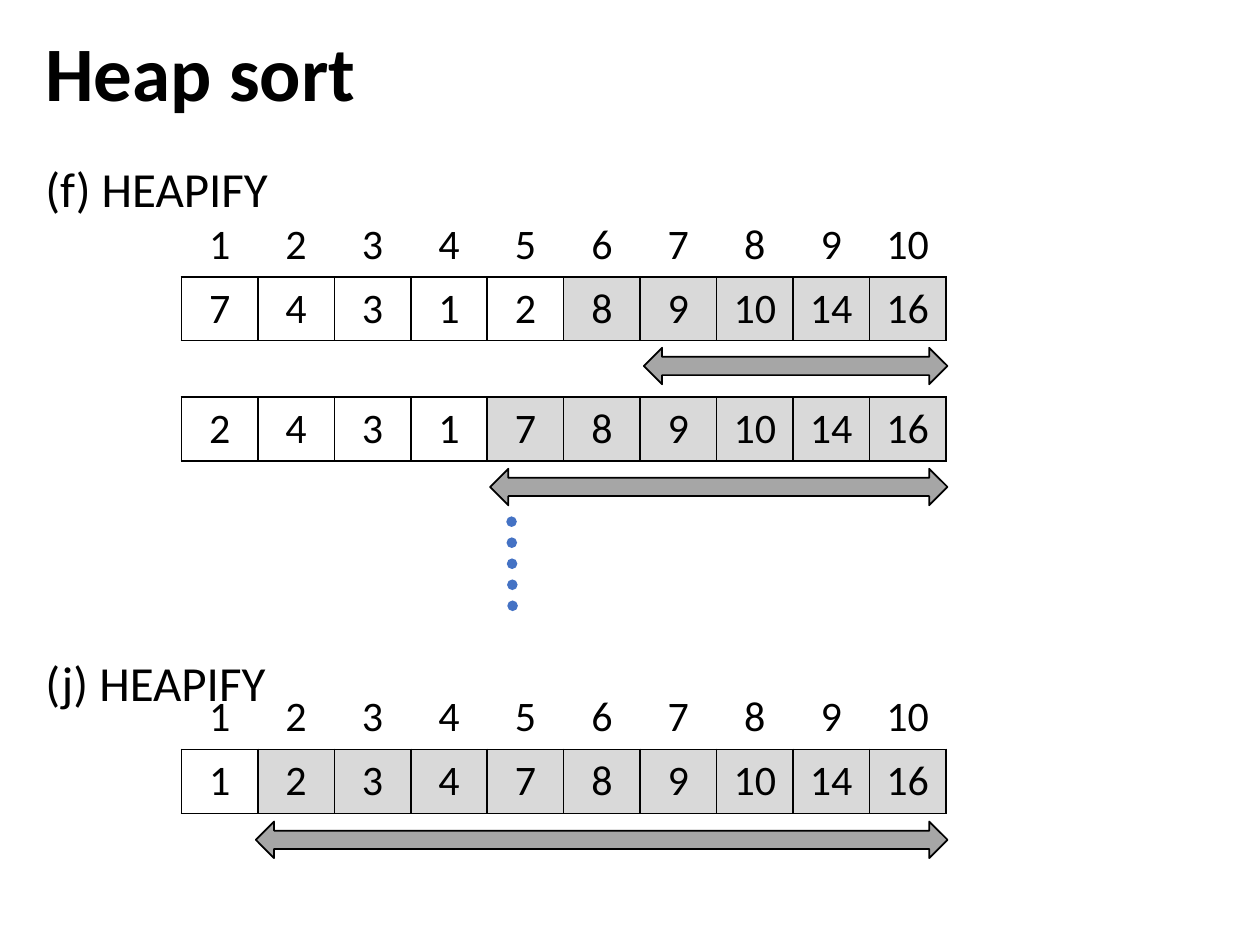
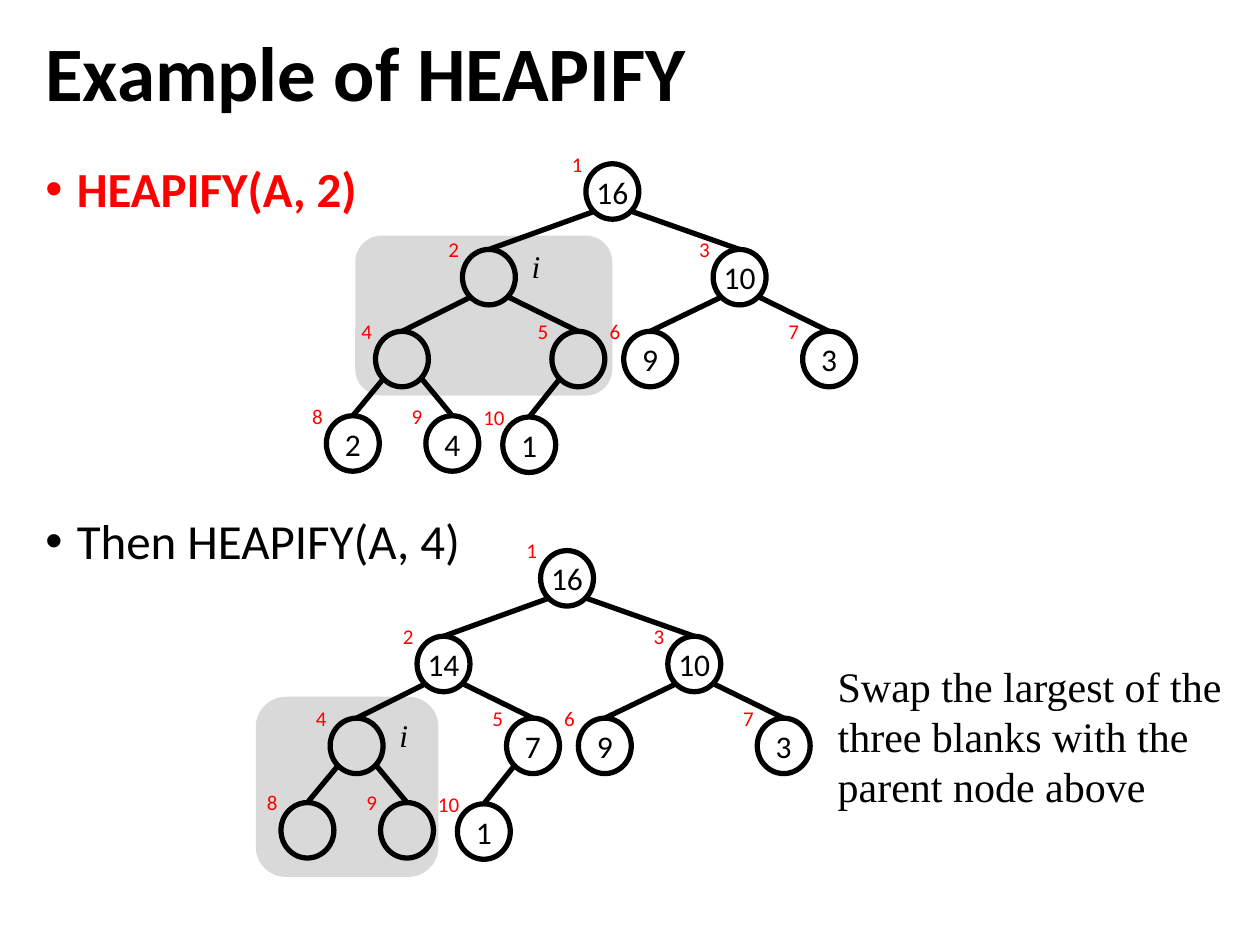
from lxml.etree import SubElement
from pptx import Presentation
from pptx.dml.color import RGBColor
from pptx.enum.dml import MSO_LINE
from pptx.enum.shapes import MSO_CONNECTOR, MSO_SHAPE
from pptx.enum.text import MSO_ANCHOR, MSO_AUTO_SIZE, PP_ALIGN
from pptx.oxml.ns import qn
from pptx.util import Inches, Pt

BLACK, RED, BLUE = "000000", "FF0000", "4472C4"
PALE, GREY = "D9D9D9", "A6A6A6"
SANS, SERIF = "Calibri", "Times New Roman"
NO_STYLE = "{2D5ABB26-0587-4C30-8999-92F81FD0307C}"
rgb = RGBColor.from_string


def style(para, size, color=BLACK, font=SANS, bold=False, italic=False, align=PP_ALIGN.CENTER):
    para.alignment = align
    para.font.size = Pt(size)
    para.font.name = font
    para.font.bold = bold
    para.font.italic = italic
    para.font.color.rgb = rgb(color)


def draw_line(slide, x1, y1, x2, y2, color=BLACK, width=3):
    line = slide.shapes.add_connector(
        MSO_CONNECTOR.STRAIGHT, Inches(x1), Inches(y1), Inches(x2), Inches(y2))
    line.line.color.rgb = rgb(color)
    line.line.width = Pt(width)
    SubElement(line._element.spPr, qn("a:effectLst"))
    return line


deck = Presentation()
deck.slide_width, deck.slide_height = Inches(10), Inches(7.5)

# Titles and lists: text, colour, bold, points before
pages = [
    ("Heap sort", False,
     [("(f) HEAPIFY", BLACK, False, 0), ("(j) HEAPIFY", BLACK, False, 252)]),
    ("Example of HEAPIFY", True,
     [("HEAPIFY(A, 2)", RED, True, 0), ("Then HEAPIFY(A, 4)", BLACK, False, 171)]),
]
for head, dots, items in pages:
    slide = deck.slides.add_slide(deck.slide_layouts[1])
    title, body = slide.placeholders
    title.left, title.top, title.width, title.height = map(Inches, (0.26, 0.15, 9.47, 0.92))
    body.left, body.top, body.width, body.height = map(Inches, (0.26, 1.26, 9.47, 5.97))
    title.text_frame.text = head
    title.text_frame.vertical_anchor = MSO_ANCHOR.MIDDLE
    title.text_frame.paragraphs[0].line_spacing = 0.9
    style(title.text_frame.paragraphs[0], 44, bold=True, align=PP_ALIGN.LEFT)
    body.text_frame.text = "\n".join(item[0] for item in items)
    for frame in (title.text_frame, body.text_frame):
        frame.auto_size = MSO_AUTO_SIZE.NONE
    for para, (_, color, bold, gap) in zip(body.text_frame.paragraphs, items):
        para.line_spacing = 0.9
        para.space_before = Pt(gap)
        props = para._p.get_or_add_pPr()
        indent = Inches(0.25) if dots else 0
        props.set("marL", str(indent))
        props.set("indent", str(-indent))
        if dots:
            SubElement(props, qn("a:buFont"), typeface="Arial")
            SubElement(props, qn("a:buChar"), char="•")
        else:
            SubElement(props, qn("a:buNone"))
        style(para, 28, color, bold=bold, align=PP_ALIGN.LEFT)

sort, example = deck.slides

# Arrays: top, index row, values, first sorted column
index = list(range(1, 11))
arrays = [
    (1.69, True, [7, 4, 3, 1, 2, 8, 9, 10, 14, 16], 5),
    (3.15, False, [2, 4, 3, 1, 7, 8, 9, 10, 14, 16], 4),
    (5.44, True, [1, 2, 3, 4, 7, 8, 9, 10, 14, 16], 1),
]
for top, has_index, values, first in arrays:
    rows = [index, values] if has_index else [values]
    holder = sort.shapes.add_table(
        len(rows), 10, Inches(1.44), Inches(top), Inches(6.07), Inches(0.5 * len(rows)))
    table = holder.table
    table.first_row = table.horz_banding = False
    for tag in holder._element.iter(qn("a:tableStyleId")):
        tag.text = NO_STYLE
    for r, row in enumerate(rows):
        is_data = row is values
        for c, value in enumerate(row):
            cell = table.cell(r, c)
            cell.text = str(value)
            cell.vertical_anchor = MSO_ANCHOR.MIDDLE
            style(cell.text_frame.paragraphs[0], 24)
            props = cell._tc.get_or_add_tcPr()
            for side in ("L", "R", "T", "B") if is_data else ("B",):
                edge = SubElement(props, qn("a:ln" + side), w=str(Pt(1)))
                SubElement(SubElement(edge, qn("a:solidFill")), qn("a:srgbClr"), val=BLACK)
            if is_data and c >= first:
                cell.fill.solid()
                cell.fill.fore_color.rgb = rgb(PALE)
            else:
                cell.fill.background()

# Arrows under the sorted parts, all ending at the same right edge
for left, top in [(5.11, 2.76), (3.89, 3.72), (2.03, 6.52)]:
    arrow = sort.shapes.add_shape(
        MSO_SHAPE.LEFT_RIGHT_ARROW, Inches(left), Inches(top), Inches(7.52 - left), Inches(0.29))
    arrow.shadow.inherit = False
    arrow.fill.solid()
    arrow.fill.fore_color.rgb = rgb(GREY)
    arrow.line.color.rgb = rgb(BLACK)
    arrow.line.width = Pt(1)

# Dots for the steps left out
skip = draw_line(sort, 4.06, 4.14, 4.07, 4.93, BLUE, 6)
skip.line.dash_style = MSO_LINE.ROUND_DOT
skip._element.spPr.find(qn("a:ln")).set("cap", "rnd")

# Trees: node places in heap order, shifted for the second tree
spots = [(4.65, 1.3), (3.67, 1.98), (5.66, 1.98), (2.98, 2.63), (4.38, 2.63),
         (4.95, 2.63), (6.37, 2.63), (2.59, 3.3), (3.38, 3.3), (3.99, 3.31)]
trees = [  # shift, shaded box, node i, values
    (0, 0, (2.82, 1.87, 2.04, 1.27), 2, ["16", "", "10", "", "", "9", "3", "2", "4", "1"]),
    (-0.36, 3.07, (2.03, 5.53, 1.45, 1.43), 4,
     ["16", "14", "10", "", "7", "9", "3", "", "", "1"]),
]
for dx, dy, area, mark, values in trees:
    shade = example.shapes.add_shape(MSO_SHAPE.ROUNDED_RECTANGLE, *map(Inches, area))
    shade.shadow.inherit = False
    shade.fill.solid()
    shade.fill.fore_color.rgb = rgb(PALE)
    shade.line.fill.background()

    nodes = [(x + dx, y + dy) for x, y in spots]
    labels = []
    for n, ((x, y), value) in enumerate(zip(nodes, values), 1):
        if n > 1:
            px, py = nodes[n // 2 - 1]
            side = 0.37 if n % 2 else 0.06
            draw_line(example, px + side, py + 0.38, x + 0.21, y)
        node = example.shapes.add_shape(
            MSO_SHAPE.OVAL, Inches(x), Inches(y), Inches(0.42), Inches(0.44))
        node.shadow.inherit = False
        node.fill.background()
        node.line.color.rgb = rgb(BLACK)
        node.line.width = Pt(3)
        if value:
            frame = node.text_frame
            frame.text = value
            frame.word_wrap = False
            frame.vertical_anchor = MSO_ANCHOR.MIDDLE
            frame.margin_left = frame.margin_right = frame.margin_top = frame.margin_bottom = 0
            style(frame.paragraphs[0], 18)
        wide = 0.37 if n > 9 else 0.29
        labels.append((x - 0.07 - wide / 2, y - 0.15, wide, 0.3, str(n), 12, RED, SANS, False))

    # Node numbers and the mark i
    x, y = nodes[mark - 1]
    labels.append((x + 0.45, y - 0.07, 0.27, 0.4, "i", 18, BLACK, SERIF, True))
    for *place, text, size, color, font, italic in labels:
        label = example.shapes.add_textbox(*map(Inches, place))
        label.text_frame.text = text
        label.text_frame.word_wrap = False
        style(label.text_frame.paragraphs[0], size, color, font, italic=italic)

# Note beside the second tree
note = example.shapes.add_textbox(Inches(6.55), Inches(5.19), Inches(3.4), Inches(1.31))
note.text_frame.word_wrap = True
note.text_frame.text = "Swap the largest of the three blanks with the parent node above"
style(note.text_frame.paragraphs[0], 24, font=SERIF, align=PP_ALIGN.LEFT)

deck.save("out.pptx")
